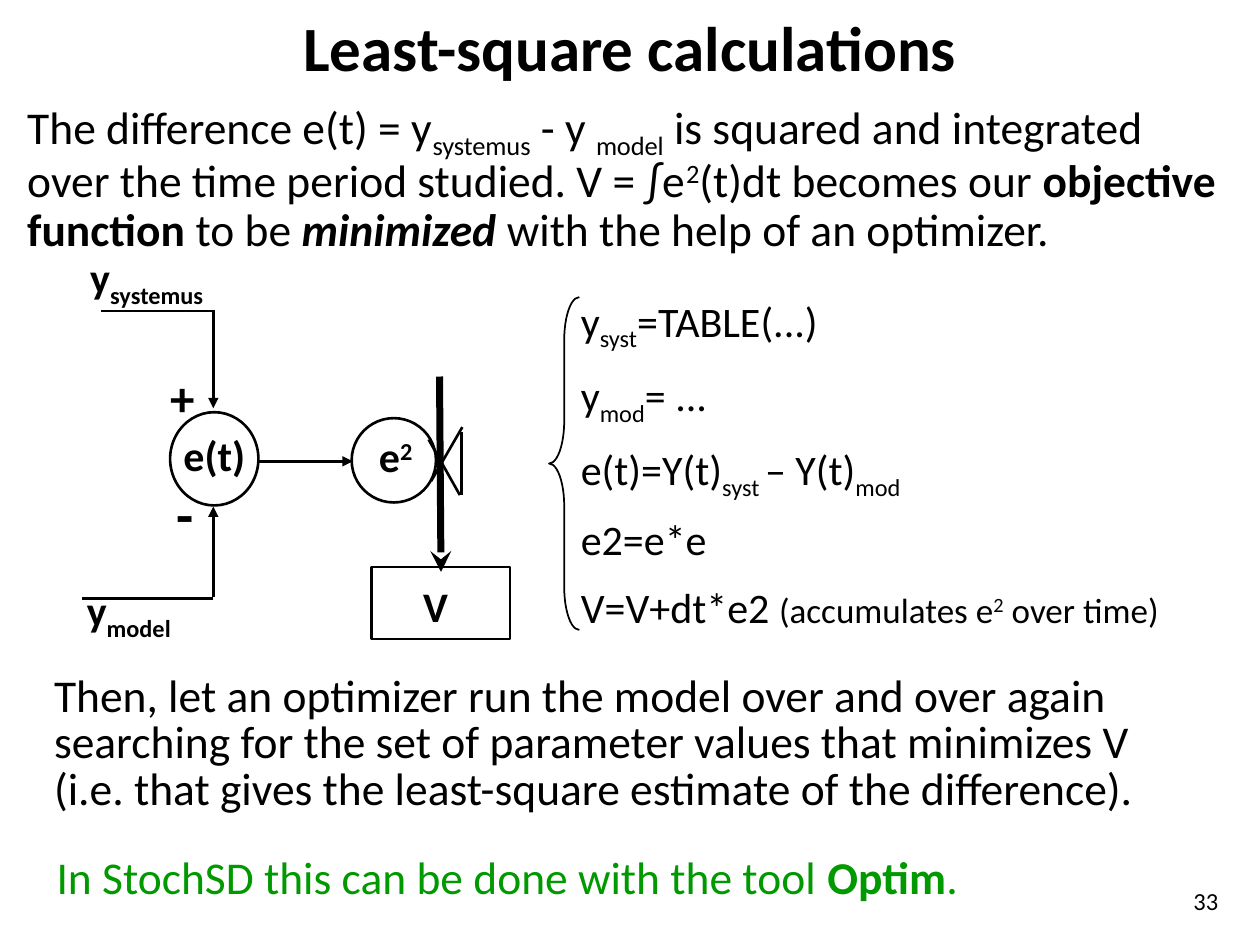
from dataclasses import dataclass
from typing import NamedTuple, Optional

from lxml import etree
from pptx import Presentation
from pptx.dml.color import RGBColor
from pptx.enum.shapes import MSO_CONNECTOR, MSO_SHAPE
from pptx.enum.text import MSO_ANCHOR, PP_ALIGN
from pptx.oxml.ns import qn
from pptx.util import Cm, Pt

BLACK = RGBColor(0x00, 0x00, 0x00)
GREEN = RGBColor(0x00, 0x99, 0x00)
FONT = "Calibri"
LEFT, CENTER, RIGHT = PP_ALIGN.LEFT, PP_ALIGN.CENTER, PP_ALIGN.RIGHT
TOP, MIDDLE = MSO_ANCHOR.TOP, MSO_ANCHOR.MIDDLE
OVAL, RECT, BRACE = MSO_SHAPE.OVAL, MSO_SHAPE.RECTANGLE, MSO_SHAPE.LEFT_BRACE
STRAIGHT = MSO_CONNECTOR.STRAIGHT
SUB, SUP = -25, 30  # baseline shift in percent


class Run(NamedTuple):
    text: str
    shift: int = 0
    bold: Optional[bool] = None
    italic: Optional[bool] = None
    size: Optional[float] = None


@dataclass
class Text:
    """Paragraphs in a box; box and gap in cm and points."""
    box: tuple[float, float, float, float]
    paragraphs: list[list[Run]]
    size: float
    bold: bool = False
    color: RGBColor = BLACK
    align: PP_ALIGN = LEFT
    anchor: MSO_ANCHOR = TOP
    spacing: float = 1.0
    gap: float = 0


@dataclass
class Outline:
    kind: MSO_SHAPE
    box: tuple[float, float, float, float]
    width: float = 1.5


@dataclass
class Line:
    start: tuple[float, float]
    end: tuple[float, float]
    head: Optional[str] = None
    width: float = 1.5


def add_text(s, t: Text) -> None:
    tf = s.shapes.add_textbox(*map(Cm, t.box)).text_frame
    tf.word_wrap = True
    tf.vertical_anchor = t.anchor
    for i, runs in enumerate(t.paragraphs):
        p = tf.add_paragraph() if i else tf.paragraphs[0]
        p.alignment = t.align
        p.line_spacing = t.spacing
        if i:
            p.space_before = Pt(t.gap)
        p.font.name = FONT
        p.font.size = Pt(t.size)
        p.font.bold = t.bold
        p.font.color.rgb = t.color
        for run in runs:
            r = p.add_run()
            r.text = run.text
            r.font.bold = run.bold
            r.font.italic = run.italic
            if run.size:
                r.font.size = Pt(run.size)
            if run.shift:
                r._r.get_or_add_rPr().set("baseline", str(run.shift * 1000))


def add_outline(s, o: Outline):
    sp = s.shapes.add_shape(o.kind, *map(Cm, o.box))
    sp.shadow.inherit = False
    sp.fill.background()
    sp.line.color.rgb = BLACK
    sp.line.width = Pt(o.width)
    return sp


def add_line(s, line: Line) -> None:
    cxn = s.shapes.add_connector(STRAIGHT, *map(Cm, line.start + line.end))
    cxn.line.color.rgb = BLACK
    cxn.line.width = Pt(line.width)
    if line.head:
        etree.SubElement(cxn.line._get_or_add_ln(), qn("a:tailEnd"), type=line.head)
    etree.SubElement(cxn._element.spPr, qn("a:effectLst"))


def label(x: float, y: float, w: float, *runs: Run, h: float = 1.3, size: float = 24) -> Text:
    return Text((x, y, w, h), [list(runs)], size, bold=True)


TEXTS = [
    # Title
    Text((1.9, 0.2, 21.6, 1.48), [[Run("Least-square calculations")]], 36,
         bold=True, align=CENTER, anchor=MIDDLE),
    # Introduction
    Text((0.3, 1.88, 24.72, 3.53), [
        [Run("The difference e(t) = y"), Run("systemus", SUB), Run(" - y "),
         Run("model", SUB), Run(" is squared and integrated")],
        [Run("over the time period studied. V = ∫e"), Run("2", SUP),
         Run("(t)dt becomes our "), Run("objective function", bold=True),
         Run(" to be "), Run("minimized", bold=True, italic=True),
         Run(" with the help of an optimizer.")],
    ], 26, spacing=0.9, gap=1.5),
    # Equations
    Text((11.46, 5.84, 12.73, 6.71), [
        [Run("y"), Run("syst", SUB), Run("=TABLE(...)")],
        [Run("y"), Run("mod", SUB), Run("= ...")],
        [Run("e(t)=Y(t)"), Run("syst ", SUB), Run("– Y(t)"), Run("mod", SUB)],
        [Run("e2=e*e")],
        [Run("V=V+dt*e2 "), Run("(accumulates e", size=20),
         Run("2", SUP, size=20), Run(" over time)", size=20)],
    ], 24, spacing=0.9, gap=13),
    # Conclusion
    Text((0.84, 13.49, 22.66, 3.1), [[Run(
        "Then, let an optimizer run the model over and over again searching for "
        "the set of parameter values that minimizes V (i.e. that gives the "
        "least-square estimate of the difference).")]], 26, spacing=0.85),
    Text((0.89, 16.99, 19.1, 1.35),
         [[Run("In StochSD this can be done with the tool "),
           Run("Optim", bold=True), Run(".")]], 26, color=GREEN),
    # Slide number
    Text((23.62, 17.53, 1.19, 1.27), [[Run("33")]], 14, align=RIGHT, anchor=MIDDLE),
    # Diagram labels
    label(3.45, 8.53, 1.83, Run("e(t)")),
    label(8.28, 11.58, 1.47, Run("V")),
    label(7.39, 8.56, 1.7, Run("e"), Run("2", SUP)),
    label(1.57, 4.95, 3.12, Run("y"), Run("systemus", SUB)),
    label(1.5, 11.66, 2.97, Run("y"), Run("model", SUB)),
    label(3.18, 7.29, 1.07, Run("+"), h=1.45, size=28),
    label(3.3, 9.55, 0.74, Run("-"), h=1.63, size=32),
]

OUTLINES = [
    Outline(OVAL, (3.43, 8.31, 1.78, 1.88)),
    Outline(OVAL, (7.09, 8.43, 1.7, 1.7)),
    Outline(RECT, (7.49, 11.43, 2.79, 1.45)),
]

LINES = [
    # Inputs to the difference, and on to its square
    Line((4.3, 6.27), (2.03, 6.27)),
    Line((4.3, 6.25), (4.3, 8.23), "triangle"),
    Line((4.3, 12.07), (1.65, 12.07)),
    Line((4.3, 12.04), (4.3, 10.21), "triangle"),
    Line((5.21, 9.3), (7.11, 9.3), "triangle"),
    # Flow into V with its valve
    Line((8.86, 7.59), (8.89, 11.53), "stealth", 4),
    Line((8.64, 8.86), (9.27, 9.98)),
    Line((9.32, 8.61), (8.69, 9.7)),
    Line((9.3, 8.71), (9.3, 9.98)),
]


def main() -> None:
    prs = Presentation()
    prs.slide_width, prs.slide_height = Cm(25.4), Cm(19.05)
    s = prs.slides.add_slide(prs.slide_layouts[6])

    for outline in OUTLINES:
        add_outline(s, outline)
    brace = add_outline(s, Outline(BRACE, (11.07, 5.99, 0.61, 6.71), 1))
    brace.adjustments[0] = 1.41
    for line in LINES:
        add_line(s, line)
    for text in TEXTS:
        add_text(s, text)

    prs.save("out.pptx")


if __name__ == "__main__":
    main()
